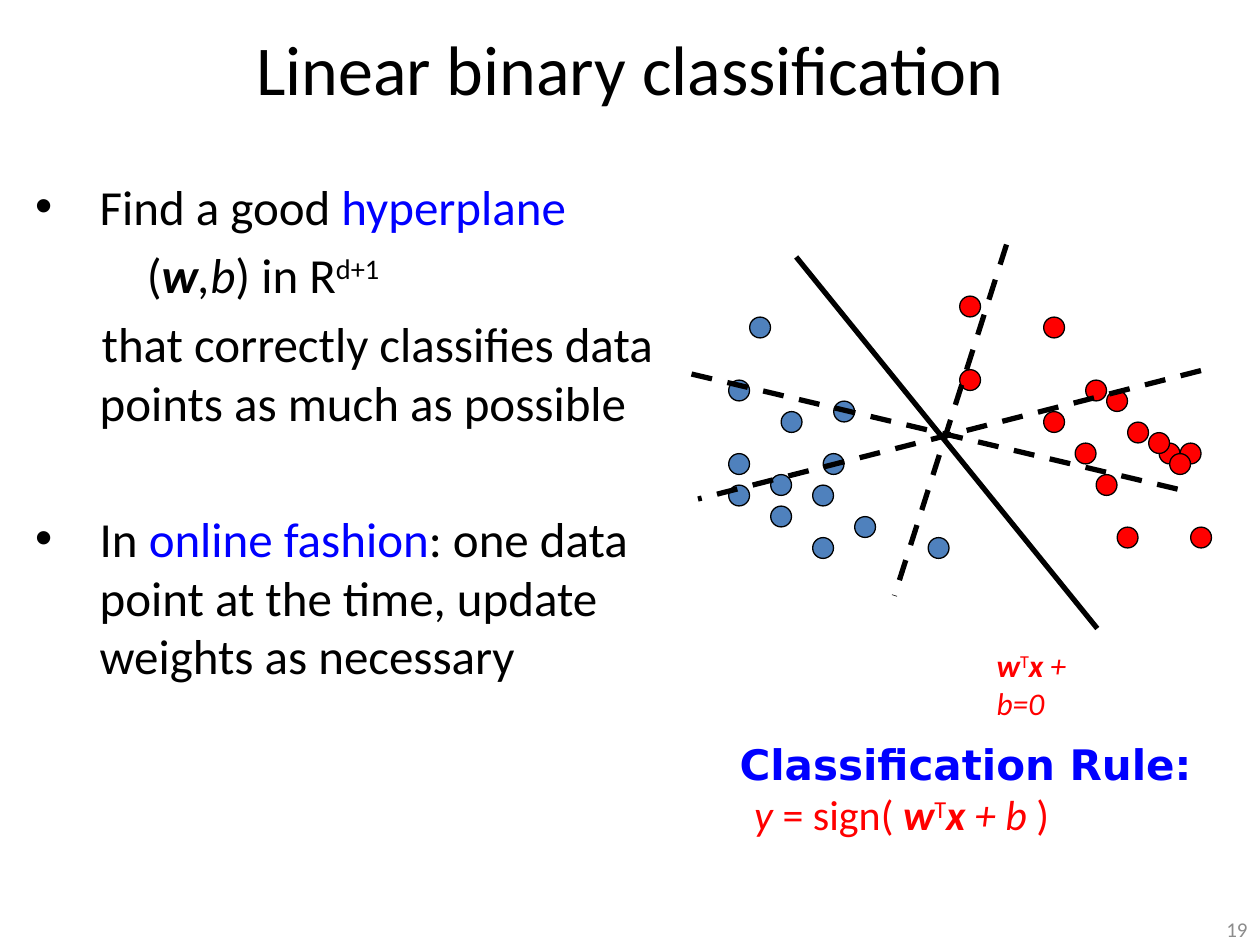
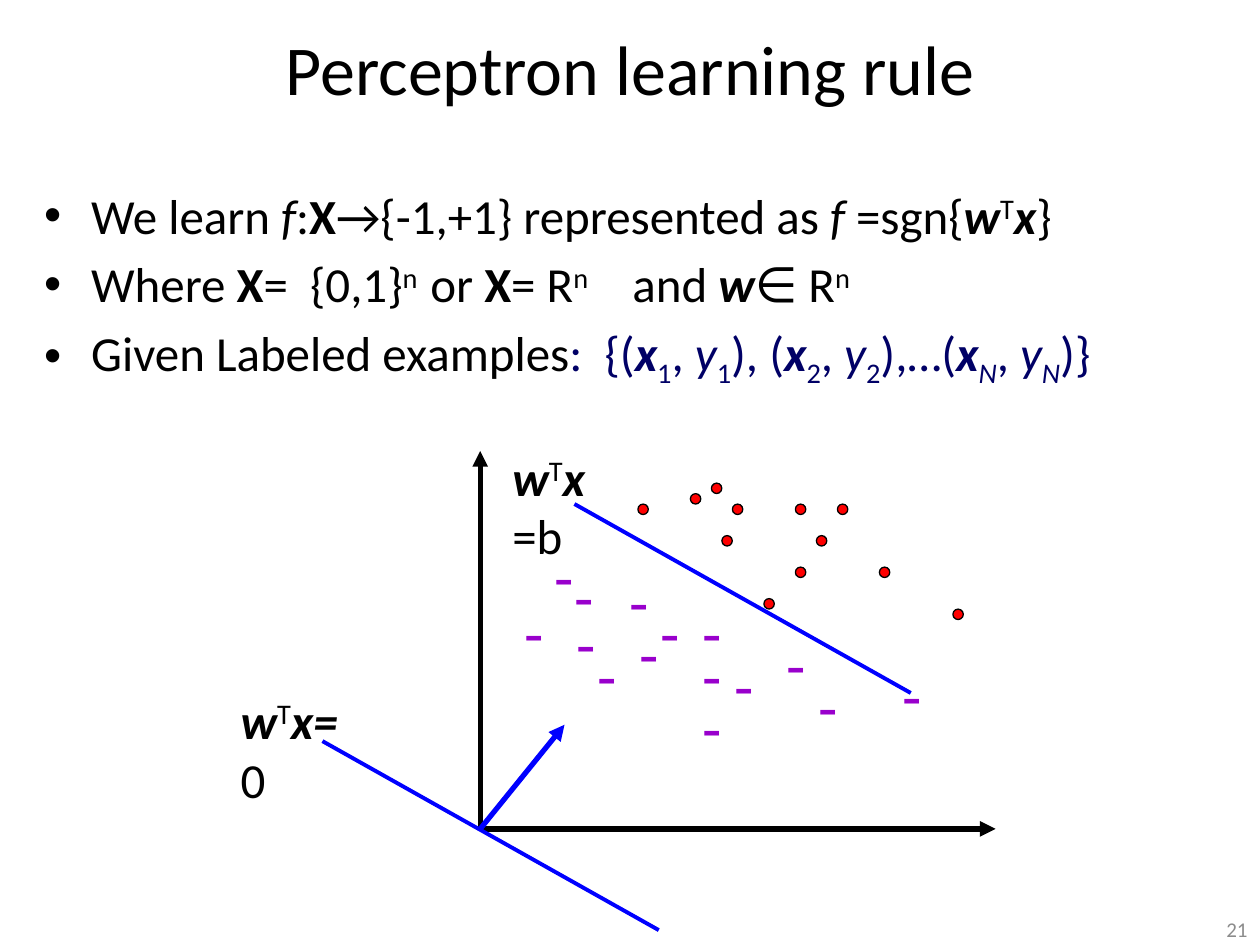
"""Build two slides on linear classification and the perceptron."""
from dataclasses import dataclass

from lxml.etree import SubElement
from pptx import Presentation
from pptx.dml.color import RGBColor
from pptx.enum.dml import MSO_LINE
from pptx.enum.shapes import MSO_CONNECTOR, MSO_SHAPE
from pptx.enum.text import MSO_ANCHOR, PP_ALIGN
from pptx.oxml.ns import qn
from pptx.util import Cm, Pt


@dataclass(frozen=True)
class Theme:
    """Colours, fonts and sizes shared by the slides."""

    black: str = "000000"
    blue: str = "0000FF"
    navy: str = "000066"
    red: str = "FF0000"
    steel: str = "4F81BD"
    purple: str = "9900CC"
    grey: str = "8C8C8C"
    font: str = "Calibri"
    heading_font: str = "DejaVu Sans"
    title_size: int = 40
    minus_size: int = 36
    body_size: int = 28
    rule_size: int = 24
    label_size: int = 18
    number_size: int = 12
    grid: float = 2.54 / 12


THEME = Theme()
FONT_FLAGS = {"b": "bold", "i": "italic"}
RUN_FLAGS = {"^": ("baseline", "30000"), "_": ("baseline", "-25000"), "~": ("spc", "1900")}
W_T_X = [("w", "bi"), ("T", "^"), ("x", "bi")]

BLUE_POINTS = [(2, 2), (0, 15), (5, 11), (0, 18), (4, 20), (8, 18), (12, 21),
               (4, 17), (0, 8), (10, 10), (19, 23), (9, 15), (8, 23)]
RED_POINTS = [(22, 0), (30, 2), (34, 8), (22, 7), (38, 12), (41, 14), (35, 17), (43, 14),
              (44, 22), (37, 22), (30, 11), (36, 9), (33, 14), (40, 13), (42, 15)]
POSITIVE_POINTS = [(5, 1), (0, 2), (7, 0), (9, 2), (15, 2), (17, 5), (15, 8),
                   (8, 5), (23, 8), (19, 2), (12, 11), (30, 12)]
NEGATIVE_POINTS = [(0, 6), (13, 6), (5, 7), (7, 10), (11, 8), (17, 15), (17, 6), (17, 10),
                   (25, 9), (28, 13), (36, 12), (2.9, 0.6), (10, 3), (20, 11), (4.8, 2.5)]


def apply_format(target, values):
    """Set attributes of a target from a dict."""
    for name, value in values.items():
        setattr(target, name, value)


def write_runs(paragraph, runs, size, color=THEME.black, font=THEME.font):
    """Add runs given as (text, flags, optional colour, optional font)."""
    for text, flags, *extra in runs:
        run = paragraph.add_run()
        run_color, run_font = (extra + [color, font][len(extra):])
        apply_format(run, {"text": text})
        apply_format(run.font, {"name": run_font, "size": Pt(size)})
        apply_format(run.font, {name: flag in flags for flag, name in FONT_FLAGS.items()})
        run.font.color.rgb = RGBColor.from_string(run_color)
        for flag, (name, value) in RUN_FLAGS.items():
            if flag in flags:
                run._r.get_or_add_rPr().set(name, value)


def set_indent(paragraph, margin, first_line, bullet):
    """Give a paragraph its indents in centimetres and an optional bullet."""
    properties = paragraph._p.get_or_add_pPr()
    properties.set("marL", str(Cm(margin)))
    properties.set("indent", str(Cm(first_line)))
    if bullet:
        SubElement(properties, qn("a:buFont")).set("typeface", "Arial")
        SubElement(properties, qn("a:buChar")).set("char", "•")


def add_text(slide, box, paragraphs, size, color=THEME.black, **frame_format):
    """Add a text box holding one list of runs for each paragraph."""
    shape = slide.shapes.add_textbox(*map(Cm, box))
    frame = shape.text_frame
    apply_format(frame, {"word_wrap": True, **frame_format})
    for index, runs in enumerate(paragraphs):
        paragraph = frame.add_paragraph() if index else frame.paragraphs[0]
        write_runs(paragraph, runs, size, color)
    return frame


def add_body(slide, box, items):
    """Add body text from (runs, margin, first line, bullet, space before) items."""
    frame = add_text(slide, box, [item[0] for item in items], THEME.body_size)
    for paragraph, (_, margin, first_line, bullet, space) in zip(frame.paragraphs, items):
        paragraph.space_before = Pt(space)
        set_indent(paragraph, margin, first_line, bullet)


def add_titled_slide(presentation, title, number):
    """Add a title-only slide with its title and page number."""
    slide = presentation.slides.add_slide(presentation.slide_layouts[5])
    shape = slide.shapes.title
    apply_format(shape, {"left": 0, "top": 0, "width": Cm(25.4), "height": Cm(2.74)})
    shape.text_frame.vertical_anchor = MSO_ANCHOR.MIDDLE
    paragraph = shape.text_frame.paragraphs[0]
    paragraph.alignment = PP_ALIGN.CENTER
    write_runs(paragraph, [(title, "")], THEME.title_size)
    frame = add_text(slide, (19.48, 18.42, 5.92, 0.64), [[(number, "")]],
                     THEME.number_size, THEME.grey, vertical_anchor=MSO_ANCHOR.MIDDLE)
    frame.paragraphs[0].alignment = PP_ALIGN.RIGHT
    return slide


def grid_positions(origin, points):
    """Yield centimetre positions of points counted in grid steps."""
    for column, row in points:
        yield origin[0] + column * THEME.grid, origin[1] + row * THEME.grid


def add_dots(slide, origin, points, diameter, color):
    """Add outlined circles at grid points."""
    for left, top in grid_positions(origin, points):
        dot = slide.shapes.add_shape(MSO_SHAPE.OVAL, *map(Cm, (left, top, diameter, diameter)))
        dot.shadow.inherit = False
        dot.fill.solid()
        dot.fill.fore_color.rgb = RGBColor.from_string(color)
        dot.line.color.rgb = RGBColor.from_string(THEME.black)
        dot.line.width = Pt(0.75)


def add_minuses(slide, origin, points):
    """Add minus signs at grid points."""
    for left, top in grid_positions(origin, points):
        add_text(slide, (left, top, 0.94, 1.78), [[("-", "")]], THEME.minus_size, THEME.purple)


def add_line(slide, start, end, color=THEME.black, width=3, dashed=False, arrow=False):
    """Add a straight line, dashed or ending in an arrowhead on request."""
    line = slide.shapes.add_connector(MSO_CONNECTOR.STRAIGHT, *map(Cm, start + end))
    line.line.color.rgb = RGBColor.from_string(color)
    line.line.width = Pt(width)
    if dashed:
        line.line.dash_style = MSO_LINE.DASH
    if arrow:
        SubElement(line.line._get_or_add_ln(), qn("a:tailEnd")).set("type", "triangle")
    SubElement(line._element.spPr, qn("a:effectLst"))


def build_classification(presentation):
    """Build the slide on separating points with a hyperplane."""
    slide = add_titled_slide(presentation, "Linear binary classification", "19")
    add_body(slide, (0.46, 3.43, 13.54, 11.86), [
        ([("Find a good", ""), (" hyperplane", "", THEME.blue)], 1.3, -1.3, True, 5.6),
        ([("(", ""), ("w", "bi"), (",b", "i"), (") in R", ""), ("d+1", "^")],
         2.25, 0, False, 5.6),
        ([("that correctly classifies data points as much as possible", "")],
         1.3, 0.04, False, 5.6),
        ([("In ", ""), ("online fashion", "", THEME.blue),
          (": one data point at the time, update weights as necessary", "")],
         1.3, -1.3, True, 44),
    ])
    origin = (14.69, 5.97)
    add_dots(slide, origin, BLUE_POINTS, 0.42, THEME.steel)
    add_dots(slide, origin, RED_POINTS, 0.42, THEME.red)
    add_line(slide, (16.05, 5.18), (22.12, 12.67))
    for start, end in [((13.94, 7.54), (23.95, 9.91)), ((24.21, 7.47), (14.07, 10.06)),
                       ((20.29, 4.93), (18.03, 12.01))]:
        add_line(slide, start, end, dashed=True)
    add_text(slide, (19.84, 12.9, 2.9, 1.02), [W_T_X + [(" ", "bi"), ("+ b=0", "i")]],
             THEME.label_size, THEME.red)
    add_text(slide, (14.66, 14.76, 9.8, 2.31), [
        [("Classification Rule:", "b", THEME.blue, THEME.heading_font)],
        [(" ", "b", THEME.blue, THEME.heading_font), ("y", "i"), (" = sign( ", ""),
         *W_T_X, (" ", "bi"), ("+ b ", "i"), (")", "")],
    ], THEME.rule_size, THEME.red)


def labeled_examples():
    """Return the runs of the list of labelled examples."""
    runs = [(":  {(", "")]
    for index, flags, after in [("1", "_", "), ("), ("2", "_", "),…("), ("N", "i_", ")}")]:
        runs += [("x", "bi"), (index, flags), (", ", ""), ("y", "i"), (index, flags), (after, "")]
    return [(text, flags, THEME.navy) for text, flags in runs]


def build_perceptron(presentation):
    """Build the slide on the perceptron learning rule."""
    slide = add_titled_slide(presentation, "Perceptron learning rule", "21")
    statements = [
        [("We learn ", ""), ("f", "i"), (":", ""), ("X", "b"),
         ("→{-1,+1} represented as ", ""), ("f", "i"), (" =sgn{", ""), *W_T_X, ("}", "")],
        [("Where ", ""), ("X", "b"), ("=  {0,1}", ""), ("n  ", "^"), ("or ", ""), ("X", "b"),
         ("= R", ""), ("n", "^"), (" ", "~"), ("and ", ""), ("w", "bi"), ("∈ R", ""), ("n", "^")],
        [("Given Labeled examples", ""), *labeled_examples()],
    ]
    add_body(slide, (0.64, 3.61, 24.13, 14.61),
             [(runs, 0.95, -0.95, True, 5.6) for runs in statements])
    origin = (9.68, 16.71)
    add_line(slide, origin, (9.68, 9.09), arrow=True)
    add_line(slide, origin, (20.07, 16.71), arrow=True)
    add_line(slide, (6.5, 14.94), (13.28, 18.75), THEME.blue, 2.25)
    add_line(slide, origin, (11.38, 14.61), THEME.blue, arrow=True)
    add_text(slide, (4.6, 13.79, 2.8, 1.45), [W_T_X + [("=", "bi"), ("0", "")]], THEME.body_size)
    add_minuses(slide, (10.32, 10.58), NEGATIVE_POINTS)
    add_dots(slide, (12.86, 9.74), POSITIVE_POINTS, 0.21, THEME.red)
    add_line(slide, (11.58, 10.16), (18.36, 13.97), THEME.blue, 2.25)
    add_text(slide, (10.08, 8.89, 3, 1.45), [W_T_X + [(" ", "bi"), ("=b", "")]], THEME.body_size)


def main():
    """Build and save the presentation."""
    presentation = Presentation()
    apply_format(presentation, {"slide_width": Cm(25.4), "slide_height": Cm(19.05)})
    build_classification(presentation)
    build_perceptron(presentation)
    presentation.save("out.pptx")


if __name__ == "__main__":
    main()
